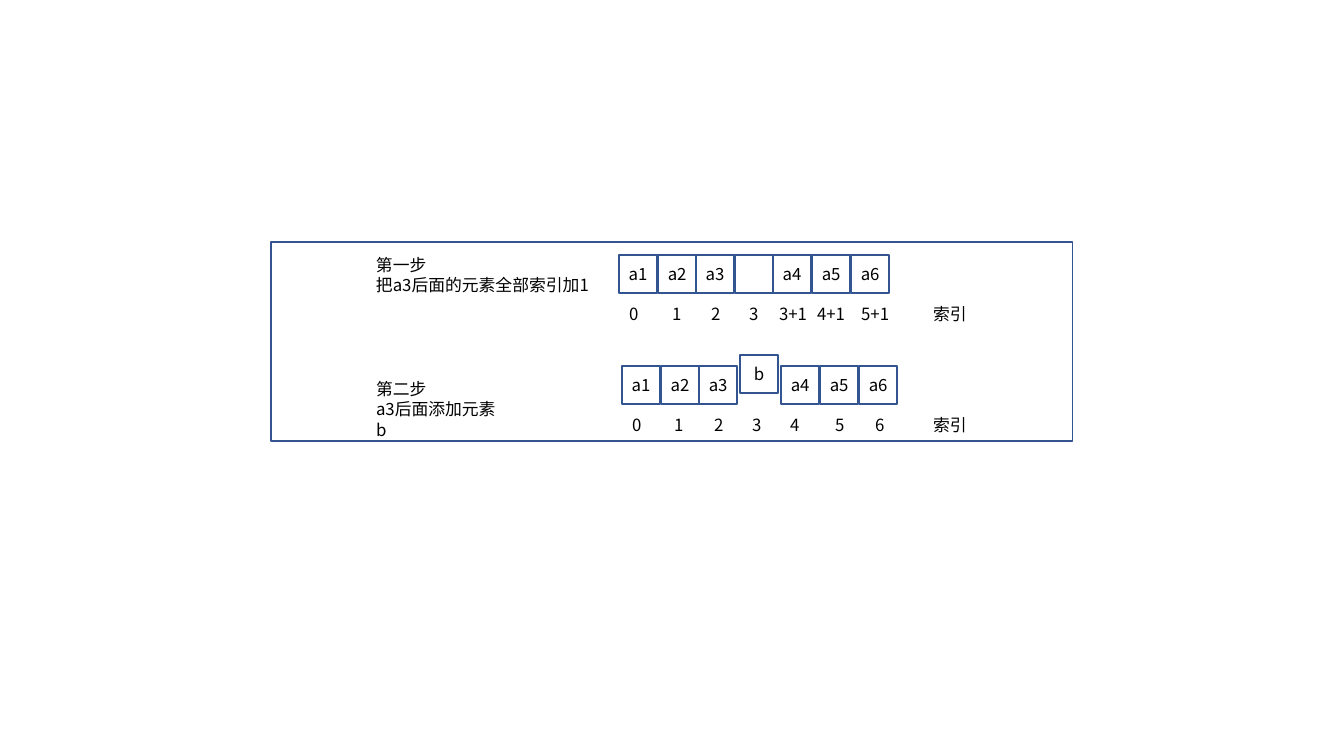
from lxml import etree
from pptx import Presentation
from pptx.dml.color import RGBColor
from pptx.enum.shapes import MSO_SHAPE
from pptx.enum.text import MSO_ANCHOR, PP_ALIGN
from pptx.oxml.ns import qn
from pptx.util import Inches, Pt

FONT = "Noto Sans CJK SC"
COLORS = {"line": "325491", "text": "000000"}

FRAME = (271, 242, 801, 199)
CELL_SIZE = 38
CELL_PITCH = 38.6
INSERT_INDEX = 3
NOTE_LEFT = 366
CAPTION = "索引"
CAPTION_LEFT = 923

STEPS = [
    {
        "note": ["第一步", "把a3后面的元素全部索引加1"],
        "note_top": 250, "note_width": 234,
        "cells": ["a1", "a2", "a3", "", "a4", "a5", "a6"],
        "left": 619, "top": 255, "gap": 0, "lift": 0,
        "indexes": [("0", 619), ("1", 662), ("2", 701), ("3", 739),
                    ("3+1", 769), ("4+1", 807), ("5+1", 851)],
        "index_top": 299,
    },
    {
        "note": ["第二步", "a3后面添加元素b"],
        "note_top": 374, "note_width": 149,
        "cells": ["a1", "a2", "a3", "b", "a4", "a5", "a6"],
        "left": 622, "top": 366, "gap": 2.5, "lift": 11,
        "indexes": [("0", 622), ("1", 664), ("2", 704), ("3", 742),
                    ("4", 780), ("5", 825), ("6", 865)],
        "index_top": 410,
    },
]


def px(value):
    return round(value * Inches(1) / 100.8)


def write(shape, lines, align):
    frame = shape.text_frame
    frame.text = "\n".join(lines)
    for paragraph in frame.paragraphs:
        paragraph.alignment = align
        font = paragraph.font
        font.size = Pt(12)
        font.name = FONT
        font.color.rgb = RGBColor.from_string(COLORS["text"])
        properties = paragraph._p.pPr.find(qn("a:defRPr"))
        etree.SubElement(properties, qn("a:ea"), typeface=FONT)


def add_box(slide, left, top, width, height):
    shape = slide.shapes.add_shape(
        MSO_SHAPE.RECTANGLE, px(left), px(top), px(width), px(height))
    shape.shadow.inherit = False
    shape.fill.background()
    shape.line.color.rgb = RGBColor.from_string(COLORS["line"])
    shape.line.width = Pt(1)
    return shape


def add_label(slide, lines, left, top, width, height=30, wrap=False):
    shape = slide.shapes.add_textbox(px(left), px(top), px(width), px(height))
    shape.text_frame.word_wrap = wrap
    write(shape, lines, PP_ALIGN.LEFT)


def add_step(slide, step):
    for index, text in enumerate(step["cells"]):
        gaps = (index >= INSERT_INDEX) + (index > INSERT_INDEX)
        left = round(step["left"] + index * CELL_PITCH + gaps * step["gap"])
        top = step["top"] - step["lift"] * (index == INSERT_INDEX)
        cell = add_box(slide, left, top, CELL_SIZE, CELL_SIZE)
        if text:
            cell.text_frame.vertical_anchor = MSO_ANCHOR.MIDDLE
            cell.text_frame.word_wrap = False
            write(cell, [text], PP_ALIGN.CENTER)
    for text, left in step["indexes"]:
        add_label(slide, [text], left, step["index_top"], 19 + 10 * len(text))
    add_label(slide, [CAPTION], CAPTION_LEFT, step["index_top"], 54)
    add_label(slide, step["note"], NOTE_LEFT, step["note_top"],
              step["note_width"], 50, wrap=True)


presentation = Presentation()
presentation.slide_width = Inches(13.33)
presentation.slide_height = Inches(7.5)
slide = presentation.slides.add_slide(presentation.slide_layouts[6])
for step in STEPS:
    add_step(slide, step)
add_box(slide, *FRAME)
presentation.save("out.pptx")
